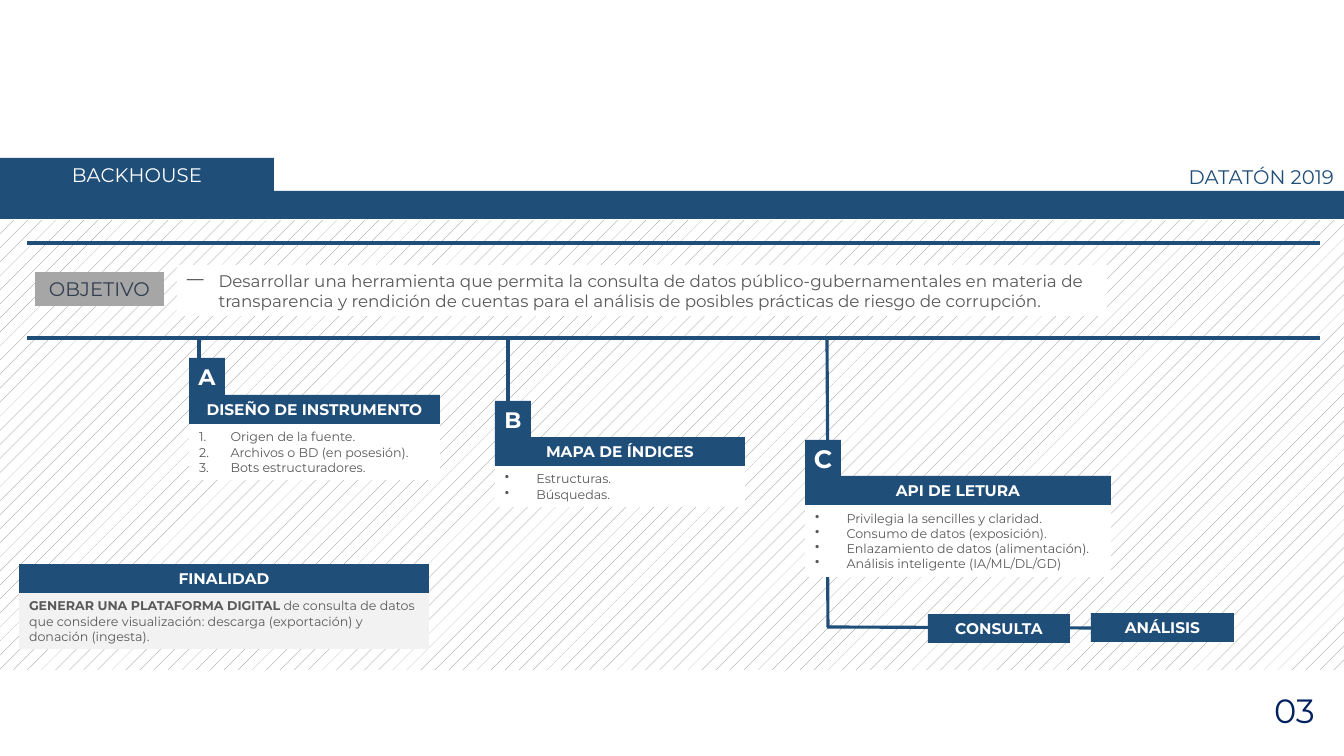
from pptx import Presentation
from pptx.util import Emu, Pt
from pptx.dml.color import RGBColor
from pptx.enum.dml import MSO_PATTERN
from pptx.enum.shapes import MSO_CONNECTOR, MSO_SHAPE
from pptx.enum.text import MSO_ANCHOR, PP_ALIGN
from pptx.oxml.ns import qn
from lxml.etree import SubElement

PIXEL = 914400 / 100.8
NAVY = RGBColor(0x1F, 0x4E, 0x79)
DEEP_BLUE = RGBColor(0x00, 0x20, 0x60)
SLATE = RGBColor(0x33, 0x3F, 0x50)
TEXT_GRAY = RGBColor(0x59, 0x59, 0x59)
HATCH_GRAY = RGBColor(0x80, 0x80, 0x80)
LABEL_GRAY = RGBColor(0xA6, 0xA6, 0xA6)
PALE_GRAY = RGBColor(0xF2, 0xF2, 0xF2)
WHITE = RGBColor(0xFF, 0xFF, 0xFF)


def add_box(left, top, width, height, color):
    box = page.shapes.add_shape(
        MSO_SHAPE.RECTANGLE, *[Emu(round(n * PIXEL)) for n in (left, top, width, height)])
    box.shadow.inherit = False
    box.line.fill.background()
    if color is None:
        box.fill.background()
    else:
        box.fill.solid()
        box.fill.fore_color.rgb = color
    return box


def write(box, lines, size, color, bold=False, align=PP_ALIGN.CENTER, bullet=None, margin=10):
    frame = box.text_frame
    frame.word_wrap = True
    frame.vertical_anchor = MSO_ANCHOR.MIDDLE
    frame.margin_left = frame.margin_right = Emu(round(margin * PIXEL))
    frame.margin_top = frame.margin_bottom = Emu(round(5 * PIXEL))
    for index, line in enumerate(lines):
        para = frame.add_paragraph() if index else frame.paragraphs[0]
        para.text = line
        para.alignment = align
        para.font.name = "Montserrat"
        para.font.size = Pt(size)
        para.font.bold = bold
        para.font.color.rgb = color
        if bullet:
            properties = para._p.get_or_add_pPr()
            properties.set("marL", "285750")
            properties.set("indent", "-285750")
            numbered = bullet == "1."
            mark = properties.makeelement(qn("a:buAutoNum" if numbered else "a:buChar"), {})
            mark.set("type" if numbered else "char", "arabicPeriod" if numbered else bullet)
            properties.find(qn("a:defRPr")).addprevious(mark)


deck = Presentation()
deck.slide_width = Emu(round(1344 * PIXEL))
deck.slide_height = Emu(round(756 * PIXEL))
page = deck.slides.add_slide(deck.slide_layouts[5])

# Hatched background and header
hatching = add_box(0, 220, 1344, 450, WHITE)
hatching.fill.patterned()
hatching.fill.pattern = MSO_PATTERN.PERCENT_5
hatching.fill.fore_color.rgb = HATCH_GRAY
hatching.fill.back_color.rgb = WHITE
add_box(0, 191, 1344, 28, NAVY)

title = page.shapes.title
title.left, title.top = Emu(0), Emu(round(158 * PIXEL))
title.width, title.height = Emu(round(274 * PIXEL)), Emu(round(34 * PIXEL))
title.fill.solid()
title.fill.fore_color.rgb = NAVY
write(title, ["BACKHOUSE"], 14, WHITE)
write(add_box(1003, 160, 341, 34, None), ["DATATÓN 2019"], 14, NAVY, align=PP_ALIGN.RIGHT)

# Rules, branches and output lines
for x1, y1, x2, y2 in [
    (27, 243, 1320, 243), (27, 338, 1320, 338),
    (199, 339, 199, 422), (508, 339, 508, 466),
    (827, 339, 828, 505), (827, 466, 828, 627), (827, 627, 1091, 628),
]:
    line = page.shapes.add_connector(
        MSO_CONNECTOR.STRAIGHT, *[Emu(round(n * PIXEL)) for n in (x1, y1, x2, y2)])
    line.line.color.rgb = NAVY
    line.line.width = Pt(2.25)
    SubElement(line._element.spPr, qn("a:effectLst"))

# Objective
write(add_box(35, 272, 129, 34, LABEL_GRAY), ["OBJETIVO"], 14, SLATE)
write(add_box(177, 265, 930, 51, WHITE),
      ["Desarrollar una herramienta que permita la consulta de datos público-gubernamentales "
       "en materia de transparencia y rendición de cuentas para el análisis de posibles "
       "prácticas de riesgo de corrupción."],
      12, TEXT_GRAY, align=PP_ALIGN.LEFT, bullet="—")

# Branches: letter, heading and list
for letter, letter_size, left, top, width, letter_height, list_height, heading, bullet, items in [
    ("A", 16, 189, 395, 251, 37, 56, "DISEÑO DE INSTRUMENTO", "1.",
     ["Origen de la fuente.", "Archivos o BD (en posesión).", "Bots estructuradores."]),
    ("B", 16, 495, 437, 250, 36, 41, "MAPA DE ÍNDICES", "•",
     ["Estructuras.", "Búsquedas."]),
    ("C", 18, 805, 476, 306, 36, 72, "API DE LETURA", "•",
     ["Privilegia la sencilles y claridad.", "Consumo de datos (exposición).",
      "Enlazamiento de datos (alimentación).", "Análisis inteligente (IA/ML/DL/GD)"]),
]:
    write(add_box(left, top + 29, width, list_height, WHITE),
          items, 9, TEXT_GRAY, align=PP_ALIGN.JUSTIFY, bullet=bullet)
    write(add_box(left, top, width, 29, NAVY), [heading], 11, WHITE, bold=True)
    write(add_box(left, top - letter_height, 36, letter_height + 1, NAVY),
          [letter], letter_size, WHITE, bold=True, margin=0)

# Outputs and purpose heading
for label, left, top, width in [
    ("CONSULTA", 928, 614, 142), ("ANÁLISIS", 1091, 613, 143), ("FINALIDAD", 19, 564, 410),
]:
    write(add_box(left, top, width, 29, NAVY), [label], 11, WHITE, bold=True)

# Purpose
purpose = add_box(19, 593, 410, 56, PALE_GRAY)
write(purpose, ["GENERAR UNA PLATAFORMA DIGITAL "], 9, TEXT_GRAY, align=PP_ALIGN.LEFT)
para = purpose.text_frame.paragraphs[0]
para.runs[0].font.bold = True
span = para.add_run()
span.text = ("de consulta de datos que considere visualización: descarga (exportación) "
             "y donación (ingesta).")

# Page number
write(add_box(1051, 685, 274, 51, None), ["03"], 24, DEEP_BLUE, align=PP_ALIGN.RIGHT)

deck.save("out.pptx")
